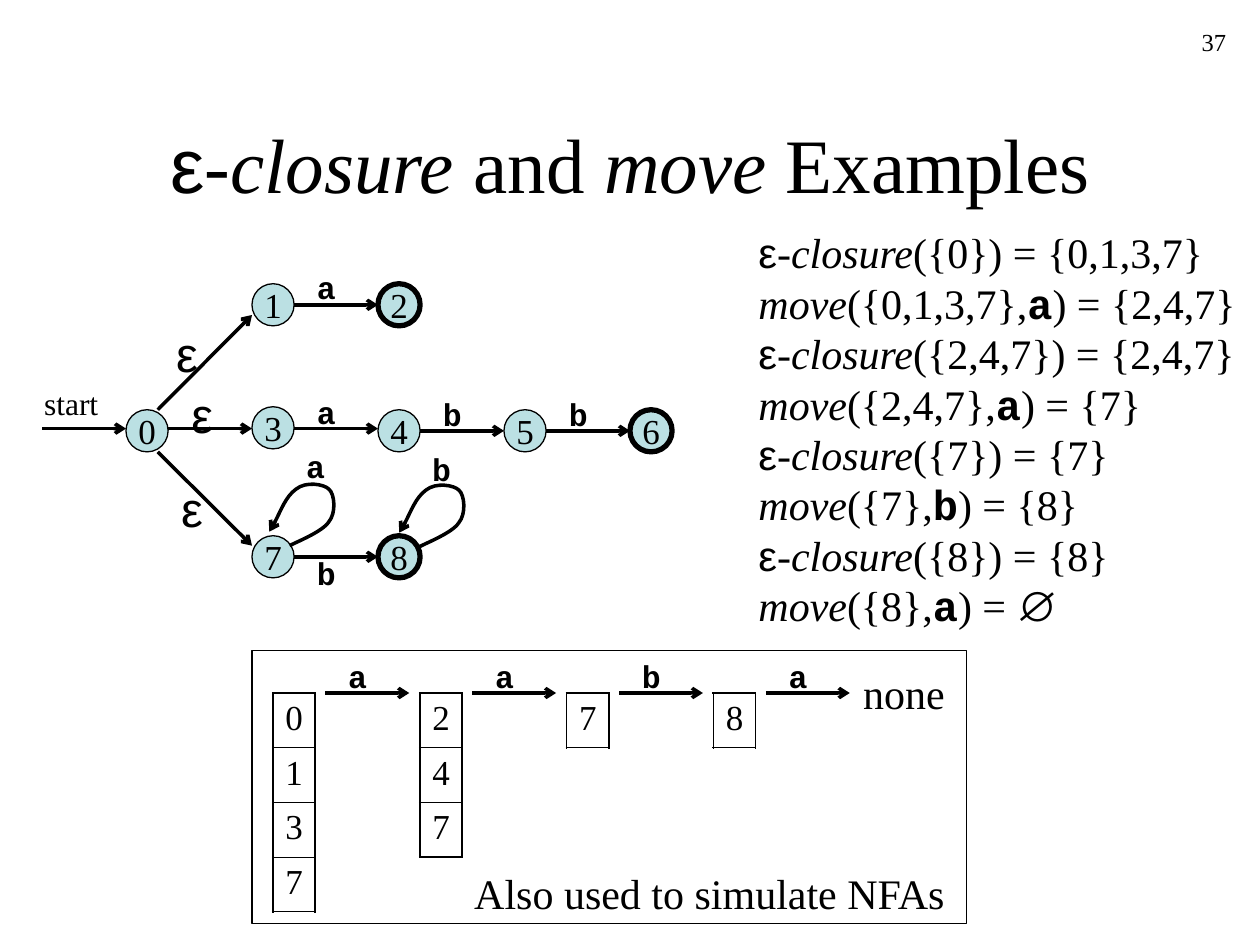
from lxml.etree import SubElement
from pptx import Presentation
from pptx.dml.color import RGBColor
from pptx.enum.shapes import MSO_CONNECTOR as Connector, MSO_SHAPE as Preset
from pptx.enum.text import MSO_ANCHOR as Anchor, MSO_AUTO_SIZE as AutoSize, PP_ALIGN as Align
from pptx.oxml.ns import qn
from pptx.util import Cm, Pt

BLACK = "000000"
NODE_FILL = "BBE0E3"
SERIF, SANS, MONO = "Times New Roman", "Arial", "Courier New"
GRID = 2.54
NODE_SIZE = 0.85
ARROW_LENGTH = 1.69
TOP, MIDDLE, BOTTOM = 5.72, 8.26, 10.8
THREE_TOP = 8.2
MIDDLE_ARROW = 8.64
STEP_LEFT, STEP_GAP, STEP_TOP = 5.5, 2.96, 13.97
CELL_WIDTH, CELL_HEIGHT = 0.85, 1.1

PLAIN = (SERIF, False, False)
ITALIC = (SERIF, True, False)
SYMBOL = (SANS, False, False)
CODE = (MONO, False, True)

LOOP_CURVE = [
    (0.15, -0.08), (0.66, -0.28), (0.79, -0.48),
    (0.94, -0.66), (0.91, -1.04), (0.79, -1.14),
    (0.69, -1.24), (0.33, -1.3), (0.13, -1.14),
    (-0.08, -0.99), (-0.28, -0.46), (-0.41, -0.28),
]


def color(hex_string):
    return RGBColor.from_string(hex_string)


def style_span(span, size, style=PLAIN):
    font = span.font
    font.name, font.italic, font.bold = style
    font.size = Pt(size)
    font.color.rgb = color(BLACK)


def set_line(shape, width):
    shape.line.color.rgb = color(BLACK)
    shape.line.width = Pt(width)


def add_arrowhead(shape):
    line = shape._element.spPr.find(qn("a:ln"))
    SubElement(line, qn("a:tailEnd"), type="arrow")


def add_text(page, left, top, width, height, lines, size, align=Align.LEFT, wrap=False):
    box = page.shapes.add_textbox(Cm(left), Cm(top), Cm(width), Cm(height))
    frame = box.text_frame
    frame.word_wrap = wrap
    frame.auto_size = AutoSize.NONE if wrap else AutoSize.SHAPE_TO_FIT_TEXT
    para = frame.paragraphs[0]
    para.alignment = align
    for index, line in enumerate(lines):
        if index:
            para.add_line_break()
        for text, style in line:
            span = para.add_run()
            span.text = text
            style_span(span, size, style)
    return box


def add_symbol(page, left, top, text):
    add_text(page, left, top, 0.89, 1.02, [[(text, CODE)]], 18)


def add_epsilon(page, left, top):
    add_text(page, left, top, 0.94, 1.45, [[("ε", SYMBOL)]], 28)


def add_node(page, label, column, top, final=False):
    node = page.shapes.add_shape(
        Preset.OVAL, Cm(column * GRID), Cm(top), Cm(NODE_SIZE), Cm(NODE_SIZE))
    node.shadow.inherit = False
    node.fill.solid()
    node.fill.fore_color.rgb = color(NODE_FILL)
    set_line(node, 3 if final else 0.75)
    frame = node.text_frame
    frame.word_wrap = False
    frame.vertical_anchor = Anchor.MIDDLE
    frame.text = label
    para = frame.paragraphs[0]
    para.alignment = Align.CENTER
    style_span(para.runs[0], 20)


def add_arrow(page, start_x, start_y, end_x, end_y):
    arrow = page.shapes.add_connector(
        Connector.STRAIGHT, Cm(start_x), Cm(start_y), Cm(end_x), Cm(end_y))
    set_line(arrow, 2)
    add_arrowhead(arrow)
    SubElement(arrow._element.spPr, qn("a:effectLst"))


def add_level_arrow(page, left, y):
    add_arrow(page, left, y, left + ARROW_LENGTH, y)


def add_loop(page, start_x, start_y):
    builder = page.shapes.build_freeform(Cm(start_x), Cm(start_y))
    builder.add_line_segments(
        [(Cm(start_x + x), Cm(start_y + y)) for x, y in LOOP_CURVE], close=False)
    loop = builder.convert_to_shape()
    loop.shadow.inherit = False
    loop.fill.background()
    set_line(loop, 2)
    add_arrowhead(loop)
    outline = next(loop._element.iter(qn("a:path")))
    segments = outline.findall(qn("a:lnTo"))
    for first in range(0, len(segments), 3):
        curve = SubElement(outline, qn("a:cubicBezTo"))
        for segment in segments[first:first + 3]:
            curve.append(segment[0])
            outline.remove(segment)


def add_border(cell, side, width):
    properties = cell._tc.get_or_add_tcPr()
    line = SubElement(properties, qn(f"a:ln{side}"), w=str(Pt(width)))
    fill = SubElement(line, qn("a:solidFill"))
    SubElement(fill, qn("a:srgbClr"), val=BLACK)


def add_state_set(page, left, states):
    count = len(states)
    table = page.shapes.add_table(
        count, 1, Cm(left), Cm(STEP_TOP), Cm(CELL_WIDTH), Cm(count * CELL_HEIGHT)).table
    table.first_row = table.horz_banding = False
    for row, state in enumerate(states):
        cell = table.cell(row, 0)
        cell.text = state
        para = cell.text_frame.paragraphs[0]
        para.space_before = Pt(5)
        style_span(para.runs[0], 20)
        add_border(cell, "L", 1.08)
        add_border(cell, "R", 1.08)
        add_border(cell, "T", 1.08 if row == 0 else 0.45)
        add_border(cell, "B", 1.08 if row == count - 1 else 0.45)
        cell.fill.background()


def closure_line(states, result):
    return [("ε", SYMBOL), ("-closure", ITALIC), (f"({{{states}}}) = {{{result}}}", PLAIN)]


def move_line(states, symbol, result, style=PLAIN):
    return [("move", ITALIC), (f"({{{states}}},", PLAIN), (symbol, CODE),
            (") = ", PLAIN), (result, style)]


def add_automaton(page):
    for label, column, top, final in [
        ("0", 1, MIDDLE, False), ("1", 2, TOP, False), ("2", 3, TOP, True),
        ("3", 2, THREE_TOP, False), ("4", 3, MIDDLE, False), ("5", 4, MIDDLE, False),
        ("6", 5, MIDDLE, True), ("7", 2, BOTTOM, False), ("8", 3, BOTTOM, True),
    ]:
        add_node(page, label, column, top, final)
    half = NODE_SIZE / 2
    for column, y in [
        (0, MIDDLE_ARROW), (1, MIDDLE_ARROW), (2, MIDDLE_ARROW), (3, MIDDLE + half),
        (4, MIDDLE + half), (2, TOP + half), (2, BOTTOM + half),
    ]:
        add_level_arrow(page, column * GRID + NODE_SIZE, y)
    add_arrow(page, 3.18, MIDDLE, 5.08, 6.35)
    add_arrow(page, 3.18, MIDDLE + NODE_SIZE, 5.08, 11)
    add_loop(page, 5.84, 11)
    add_loop(page, 8.46, 11.02)
    for left, top, text in [
        (6.14, 5.28, "a"), (6.14, 7.8, "a"), (8.68, 7.83, "b"), (11.22, 7.83, "b"),
        (6.14, 11.05, "b"), (5.92, 8.89, "a"), (8.46, 8.94, "b"),
    ]:
        add_symbol(page, left, top, text)
    for left, top in [(3.4, 9.53), (3.61, 7.62), (3.3, 6.4)]:
        add_epsilon(page, left, top)
    add_text(page, 0.64, 7.62, 1.6, 1.02, [[("start", PLAIN)]], 18)


def add_simulation(page):
    for step, (states, symbol) in enumerate([("0137", "a"), ("247", "a"), ("7", "b"), ("8", "a")]):
        left = STEP_LEFT + step * STEP_GAP
        add_state_set(page, left, states)
        add_symbol(page, left + 1.27, 13.12, symbol)
        add_level_arrow(page, left + 1.06, STEP_TOP)
    add_text(page, 17.15, 13.34, 2.16, 1.27, [[("none", PLAIN)]], 24)
    add_text(page, 9.31, 17.36, 10.06, 1.27, [[("Also used to simulate NFAs", PLAIN)]], 24)
    border = page.shapes.add_shape(Preset.RECTANGLE, Cm(5.08), Cm(13.12), Cm(14.4), Cm(5.5))
    border.shadow.inherit = False
    border.fill.background()
    set_line(border, 0.75)


def main():
    deck = Presentation()
    deck.slide_width, deck.slide_height = Cm(25.4), Cm(19.05)
    page = deck.slides.add_slide(deck.slide_layouts[6])
    title = [("ε", SYMBOL), ("-closure", ITALIC), (" and ", PLAIN),
             ("move", ITALIC), (" Examples", PLAIN)]
    heading = add_text(page, 1.9, 1.7, 21.6, 3.18, [title], 44, Align.CENTER, wrap=True)
    heading.text_frame.vertical_anchor = Anchor.MIDDLE
    add_automaton(page)
    add_text(page, 15.04, 4.45, 10.36, 8.38, [
        closure_line("0", "0,1,3,7"),
        move_line("0,1,3,7", "a", "{2,4,7}"),
        closure_line("2,4,7", "2,4,7"),
        move_line("2,4,7", "a", "{7}"),
        closure_line("7", "7"),
        move_line("7", "b", "{8}"),
        closure_line("8", "8"),
        move_line("8", "a", "∅", SYMBOL),
    ], 24, wrap=True)
    add_simulation(page)
    add_text(page, 19.69, 0.43, 5.28, 1.27, [[("37", PLAIN)]], 14, Align.RIGHT, wrap=True)
    deck.save("out.pptx")


if __name__ == "__main__":
    main()
